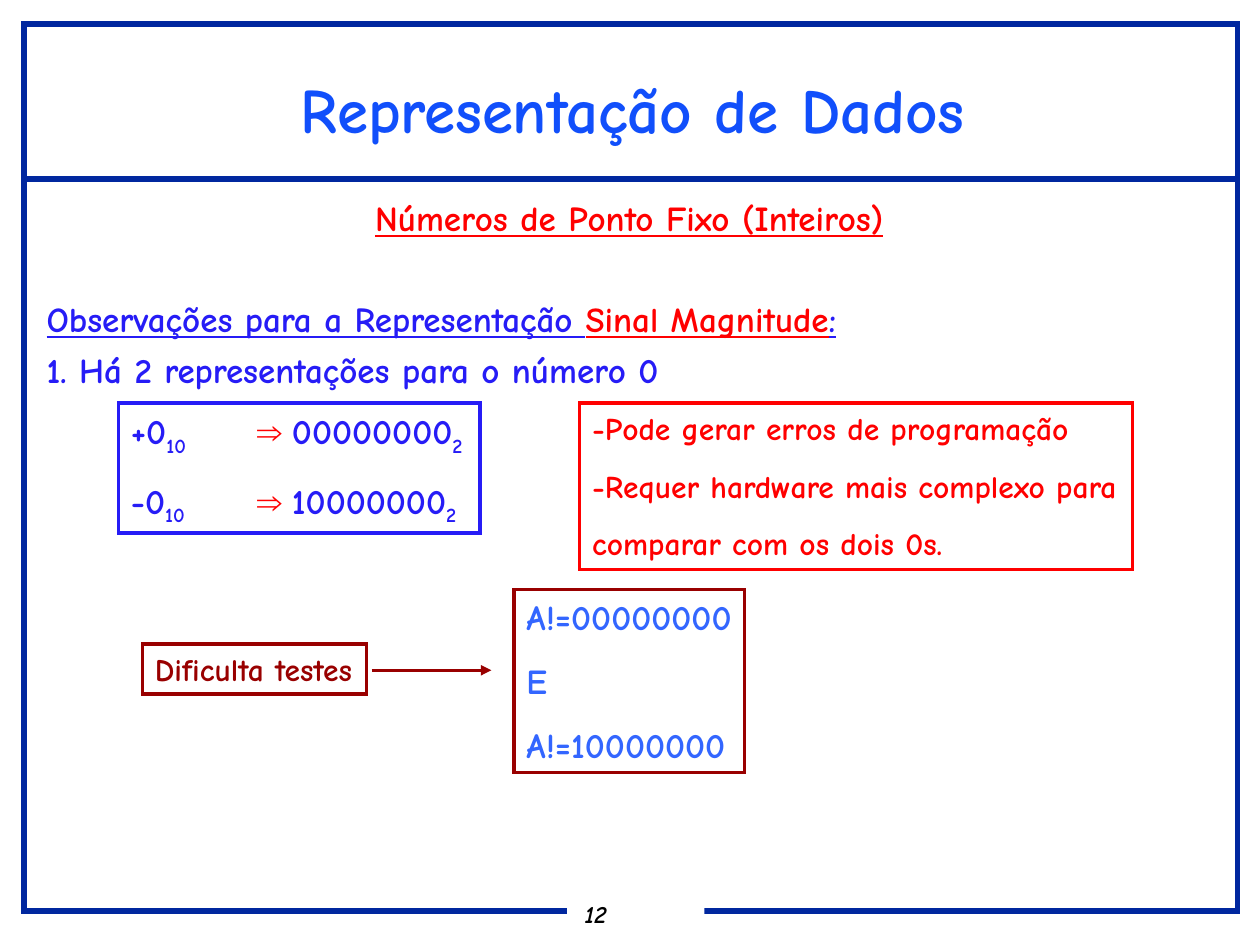
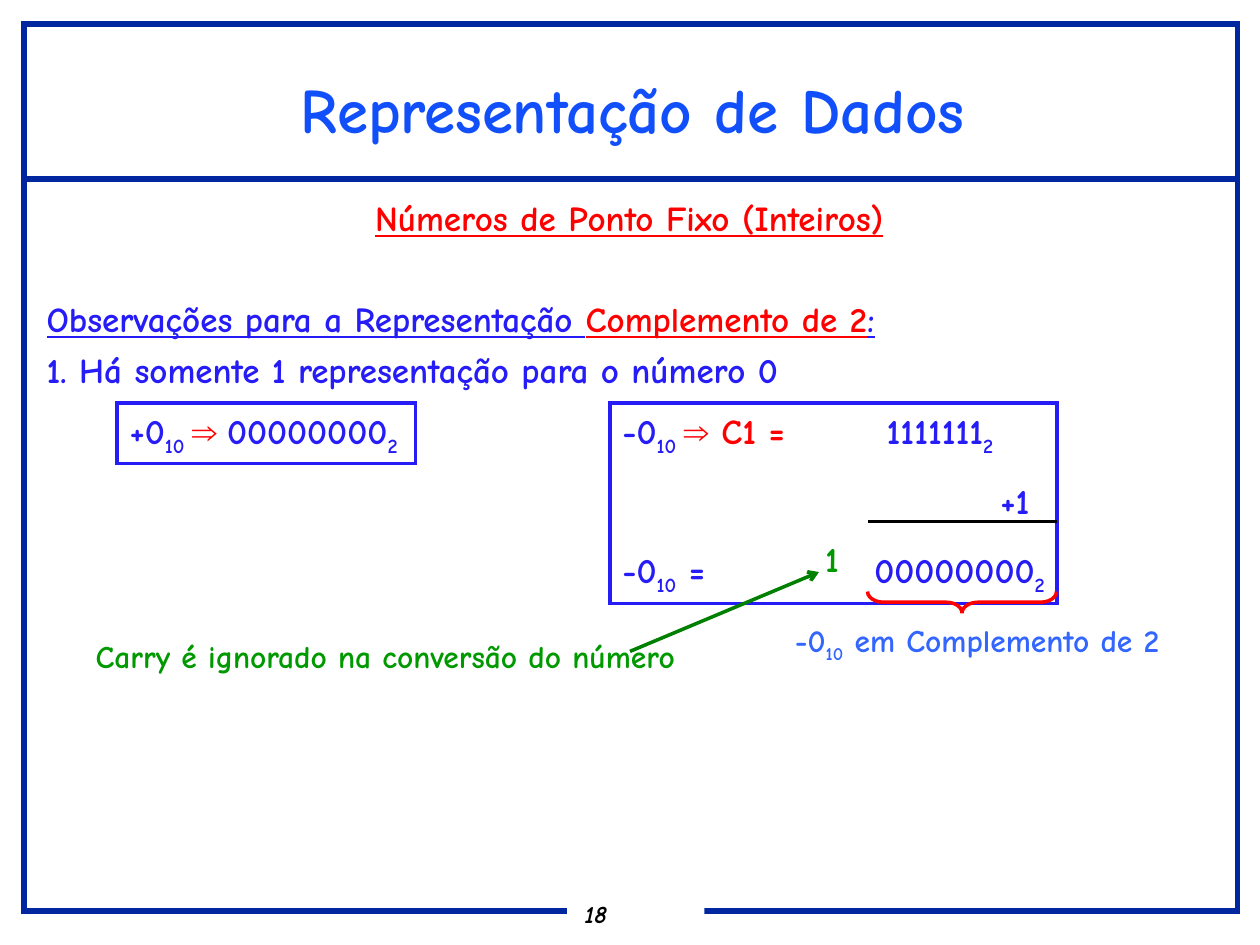
from dataclasses import dataclass

from lxml.etree import SubElement
from pptx import Presentation
from pptx.dml.color import RGBColor
from pptx.enum.shapes import MSO_CONNECTOR, MSO_SHAPE
from pptx.enum.text import MSO_ANCHOR, MSO_AUTO_SIZE, PP_ALIGN
from pptx.oxml.ns import qn
from pptx.util import Inches, Pt


@dataclass(frozen=True)
class Theme:
    font: str = "Comic Neue"
    symbol_font: str = "Arial"
    frame: str = "00279F"
    title: str = "114FFB"
    blue: str = "261CF6"
    light_blue: str = "3366FF"
    red: str = "FF0000"
    dark_red: str = "990000"
    green: str = "009900"
    dark_green: str = "008000"
    black: str = "000000"
    white: str = "FFFFFF"
    title_size: int = 36
    text_size: int = 20
    note_size: int = 18
    number_size: int = 14
    frame_width: int = 3
    line_width: int = 2
    tab_width: int = Inches(1)


theme = Theme()
blue, red = theme.blue, theme.red
RUN_STYLES = {
    "plain": {},
    "sub": {},
    "underline": {"underline": True},
    "symbol": {"name": theme.symbol_font},
    "italic": {"italic": True},
}


def write(frame, lines, size, gap=0.0, margins=(0.1, 0.05), line_spacing=1.0,
          align=PP_ALIGN.LEFT):
    """Fill a text frame; each line is a list of (text, colour, style) runs."""
    side, top = map(Inches, margins)
    frame_format = {
        "word_wrap": True, "auto_size": MSO_AUTO_SIZE.NONE,
        "vertical_anchor": MSO_ANCHOR.TOP, "margin_left": side,
        "margin_right": 0 if align == PP_ALIGN.LEFT else side,
        "margin_top": top, "margin_bottom": top,
    }
    for attribute, value in frame_format.items():
        setattr(frame, attribute, value)
    for index, runs in enumerate(lines):
        paragraph = frame.paragraphs[0] if index == 0 else frame.add_paragraph()
        properties = paragraph._p.get_or_add_pPr()
        for attribute, value in (("marL", 0), ("indent", 0), ("defTabSz", theme.tab_width)):
            properties.set(attribute, str(value))
        SubElement(properties, qn("a:buNone"))
        paragraph.alignment = align
        paragraph.line_spacing = line_spacing
        paragraph.space_before = Pt(gap if index else 0)
        for text, colour, *style in runs:
            run = paragraph.add_run()
            run.text = text
            kind = style[0] if style else "plain"
            font_format = {"name": theme.font, "size": Pt(size), "bold": True}
            for attribute, value in (font_format | RUN_STYLES[kind]).items():
                setattr(run.font, attribute, value)
            run.font.color.rgb = RGBColor.from_string(colour)
            if kind == "sub":
                run._r.get_or_add_rPr().set("baseline", "-25000")


def draw(slide, kind, place, line=None, fill=None, width=theme.line_width, head=None):
    """Add a preset shape at (left, top, width, height), or a line
    (kind None) between (x1, y1) and (x2, y2)."""
    place = [Inches(value) for value in place]
    if kind is None:
        shape = slide.shapes.add_connector(MSO_CONNECTOR.STRAIGHT, *place)
    else:
        shape = slide.shapes.add_shape(kind, *place)
        shape.shadow.inherit = False
        if fill:
            shape.fill.solid()
            shape.fill.fore_color.rgb = RGBColor.from_string(fill)
        else:
            shape.fill.background()
    if line:
        shape.line.color.rgb = RGBColor.from_string(line)
        shape.line.width = Pt(width)
        SubElement(shape.line._get_or_add_ln(), qn("a:miter"), lim="800000")
    else:
        shape.line.fill.background()
    if head:
        SubElement(shape.line._get_or_add_ln(), qn("a:tailEnd"), type=head)
    if kind is None:
        SubElement(shape._element.spPr, qn("a:effectLst"))
    return shape


ten = ("10 ", blue, "sub")
two = ("2", blue, "sub")
implies = ("⇒ ", red, "symbol")

# Boxes: place, border, type size, lines
sign_magnitude = {
    "number": "12",
    "scheme": "Sinal Magnitude",
    "finding": "1. Há 2 representações para o número 0",
    "boxes": [
        ((0.94, 3.2, 2.87, 1.03), blue, theme.text_size, [
            [(sign + "0", blue), ("10 \t", blue, "sub"), implies, (bits, blue), two]
            for sign, bits in (("+", "00000000"), ("-", "10000000"))]),
        ((4.6, 3.2, 4.39, 1.32), red, theme.note_size, [
            [(problem, red)] for problem in (
                "-Pode gerar erros de programação",
                "-Requer hardware mais complexo para",
                "comparar com os dois 0s.")]),
        ((4.08, 4.68, 1.83, 1.45), theme.dark_red, theme.text_size, [
            [(test, theme.light_blue)] for test in ("A!=00000000", "E", "A!=10000000")]),
        ((1.13, 5.11, 1.78, 0.4), theme.dark_red, theme.note_size,
         [[("Dificulta testes", theme.dark_red)]]),
    ],
    "lines": [((2.95, 5.32, 3.9, 5.32), theme.dark_red, "triangle")],
}
twos_complement = {
    "number": "18",
    "scheme": "Complemento de 2",
    "finding": "1. Há somente 1 representação para o número 0",
    "boxes": [
        ((0.93, 3.2, 2.37, 0.48), blue, theme.text_size,
         [[("+0", blue), ten, implies, ("00000000", blue), two]]),
        ((4.84, 3.2, 3.55, 1.59), blue, theme.text_size, [
            [("-0", blue), ten, ("⇒", red, "symbol"), (" C1 = \t", red),
             (" 1111111", blue), two],
            [("\t\t\t", blue, "sub"), ("+1", blue)],
            [("-0", blue), ("10", blue, "sub"), (" =\t\t00000000", blue), two]]),
        ((6.21, 4.88, 3.19, 0.44), None, theme.note_size,
         [[("-0", theme.light_blue), ("10", theme.light_blue, "sub"),
           (" em Complemento de 2", theme.light_blue)]]),
        ((6.45, 4.22, 0.31, 0.44), None, theme.text_size, [[("1", theme.green)]]),
        ((0.66, 5.01, 4.81, 0.4), None, theme.note_size,
         [[("Carry é ignorado na conversão do número", theme.green)]]),
    ],
    "lines": [
        ((6.89, 4.14, 8.39, 4.14), theme.black, None),
        ((5, 5.17, 6.5, 4.54), theme.dark_green, "arrow"),
    ],
    "result_brace": (7.55, 4.03, 0.17, 1.5),
}

deck = Presentation()
deck.slide_width, deck.slide_height = Inches(10), Inches(7.5)
for defaults in (deck.element, deck.slide_master.element):
    for level in defaults.iter():
        if level.get("defTabSz"):
            level.set("defTabSz", str(theme.tab_width))

for topic in (sign_magnitude, twos_complement):
    slide = deck.slides.add_slide(deck.slide_layouts[1])
    title, body = slide.placeholders

    draw(slide, None, (0.19, 1.42, 9.81, 1.42), theme.frame, width=theme.frame_width)
    draw(slide, MSO_SHAPE.RECTANGLE, (0.19, 0.19, 9.63, 7.04), theme.frame,
         width=theme.frame_width)
    page_number = draw(slide, MSO_SHAPE.RECTANGLE, (4.5, 7.13, 1.09, 0.27),
                       fill=theme.white)
    write(page_number.text_frame, [[(topic["number"], theme.black, "italic")]],
          theme.number_size, margins=(0.14, 0.03), line_spacing=0.9)

    for holder, place in ((title, (1.99, 0.57, 6.06, 0.63)),
                          (body, (0.27, 1.55, 9.45, 5.13))):
        for side, value in zip(("left", "top", "width", "height"), place):
            setattr(holder, side, Inches(value))
    write(title.text_frame, [[("Representação de Dados", theme.title)]],
          theme.title_size, margins=(0.07, 0.03), line_spacing=0.95,
          align=PP_ALIGN.CENTER)
    write(body.text_frame, [
        [("Números de Ponto Fixo (Inteiros)", red, "underline")],
        [("Observações para a Representação ", blue, "underline"),
         (topic["scheme"], red, "underline"), (":", blue, "underline")],
        [(topic["finding"], blue)],
    ], theme.text_size, gap=7.5, line_spacing=0.9)
    heading, observations, _ = body.text_frame.paragraphs
    heading.alignment = PP_ALIGN.CENTER
    body.text_frame.margin_right = Inches(0.1)
    observations.space_before = Pt(36)

    for place, border, size, lines in topic["boxes"]:
        if border:
            box = draw(slide, MSO_SHAPE.RECTANGLE, place, border)
        else:
            box = slide.shapes.add_textbox(*map(Inches, place))
        write(box.text_frame, lines, size, gap=size * 0.625)
    for ends, colour, head in topic["lines"]:
        draw(slide, None, ends, colour, head=head)
    if "result_brace" in topic:
        brace = draw(slide, MSO_SHAPE.RIGHT_BRACE, topic["result_brace"], red)
        brace.rotation = 90
        brace.adjustments[0] = 0.74

deck.save("out.pptx")
